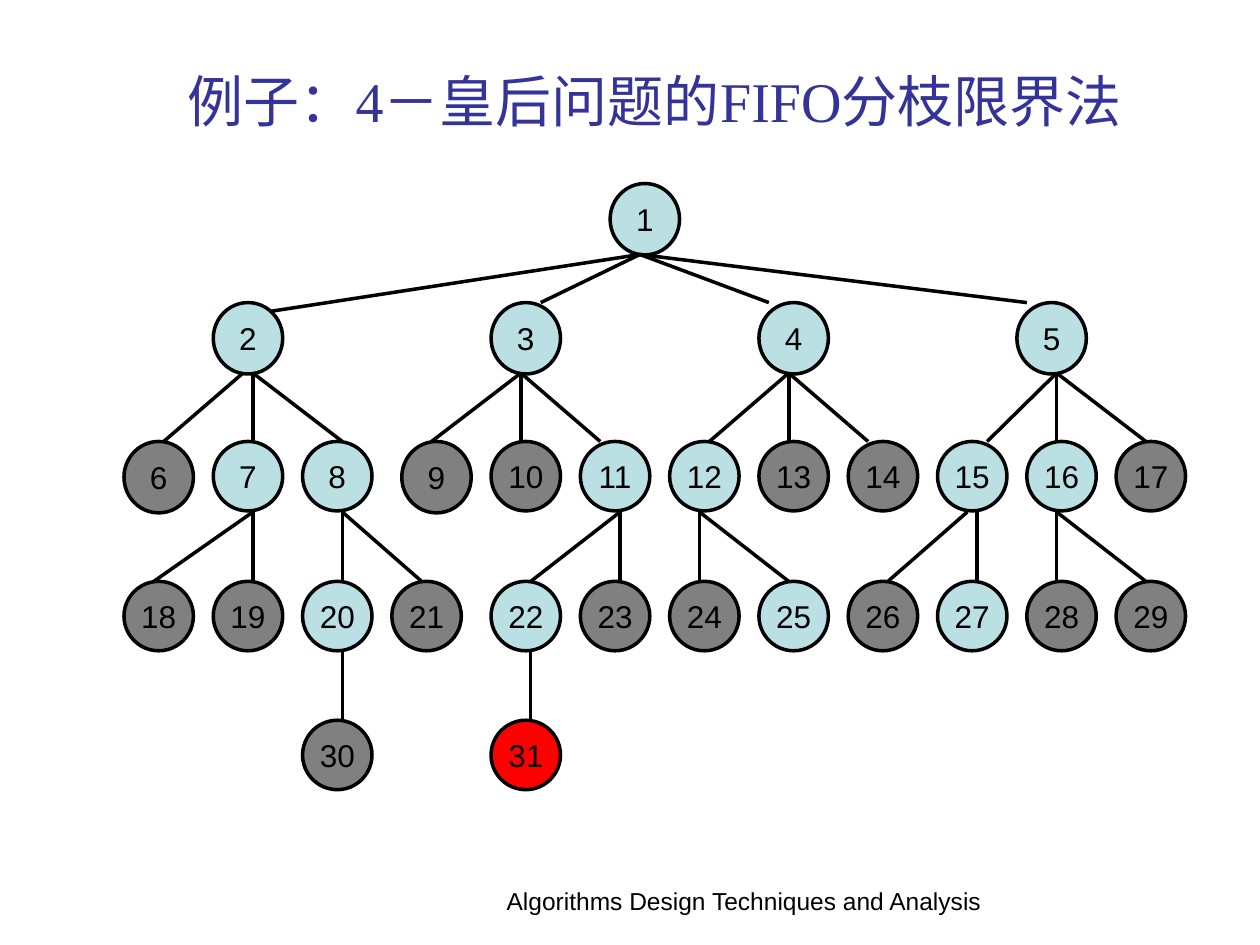
import dataclasses
import typing

import lxml.etree
import pptx
import pptx.dml.color
import pptx.enum.shapes
import pptx.enum.text
import pptx.oxml.ns
import pptx.util

Cm = pptx.util.Cm
Pt = pptx.util.Pt
RGBColor = pptx.dml.color.RGBColor
Align = pptx.enum.text.PP_ALIGN
Anchor = pptx.enum.text.MSO_ANCHOR


@dataclasses.dataclass(frozen=True)
class Theme:
    live: RGBColor = RGBColor(0xBB, 0xE0, 0xE3)
    dead: RGBColor = RGBColor(0x80, 0x80, 0x80)
    answer: RGBColor = RGBColor(0xFF, 0x00, 0x00)
    ink: RGBColor = RGBColor(0x00, 0x00, 0x00)
    title: RGBColor = RGBColor(0x33, 0x33, 0x99)
    title_font: str = "Times New Roman"
    body_font: str = "Arial"
    title_size: Pt = Pt(32)
    node_size: Pt = Pt(18)
    footer_size: Pt = Pt(14)
    line_width: Pt = Pt(2)


THEME = Theme()
DIAMETER = 1.4
TALL = 1.44
ROW_TOPS = (3.7, 6.1, 8.9, 11.72, 14.52)
EDGE_STARTS = (5.13, 7.52, 10.32, 13.12)


class Node(typing.NamedTuple):
    """A tree node; the edge from its parent runs between two x positions."""
    number: int
    left: float
    fill: RGBColor
    edge_from: typing.Optional[float] = None
    edge_to: typing.Optional[float] = None
    height: float = DIAMETER
    edge_drop: float = 0


def column(index: int) -> float:
    """Left of a column; columns from the fifth on sit closer to the left block."""
    return (2.5 if index < 4 else 0.9) + 1.8 * index


LIVE, DEAD, ANSWER = THEME.live, THEME.dead, THEME.answer
LEVELS = (
    (Node(1, 12.3, LIVE, height=TALL),),
    (
        Node(2, column(1), LIVE, 12.9, 5.3, TALL, edge_drop=0.2),
        Node(3, column(5), LIVE, 12.9, 10.9, TALL),
        Node(4, column(8), LIVE, 12.9, 15.5, TALL),
        Node(5, 20.5, LIVE, 12.9, 20.7, TALL),
    ),
    (
        Node(6, column(0), DEAD, 4.9, 3.3, TALL),
        Node(7, column(1), LIVE, 5.1, 5.1),
        Node(8, column(2), LIVE, 5.1, 6.9),
        Node(9, column(4), DEAD, 10.5, 8.7, TALL),
        Node(10, column(5), DEAD, 10.5, 10.5),
        Node(11, column(6), LIVE, 10.5, 12.1),
        Node(12, column(7), LIVE, 15.9, 14.3),
        Node(13, column(8), DEAD, 15.9, 15.9),
        Node(14, column(9), DEAD, 15.9, 17.5),
        Node(15, column(10), LIVE, 21.3, 19.9),
        Node(16, column(11), LIVE, 21.3, 21.3),
        Node(17, column(12), DEAD, 21.3, 23.1),
    ),
    (
        Node(18, column(0), DEAD, 5.1, 3.1),
        Node(19, column(1), DEAD, 5.1, 5.1),
        Node(20, column(2), LIVE, 6.9, 6.9),
        Node(21, column(3), DEAD, 6.9, 8.5),
        Node(22, column(5), LIVE, 12.5, 10.7),
        Node(23, column(6), DEAD, 12.5, 12.5),
        Node(24, column(7), DEAD, 14.1, 14.1),
        Node(25, column(8), LIVE, 14.1, 15.9),
        Node(26, column(9), DEAD, 19.5, 17.9),
        Node(27, column(10), LIVE, 19.7, 19.7),
        Node(28, column(11), DEAD, 21.3, 21.3),
        Node(29, column(12), DEAD, 21.3, 23.1),
    ),
    (
        Node(30, column(2), DEAD, 6.9, 6.9),
        Node(31, column(5), ANSWER, 10.7, 10.7),
    ),
)


def apply_format(target: typing.Any, values: dict[str, typing.Any]) -> None:
    for name, value in values.items():
        setattr(target, name, value)


def write_text(shape: typing.Any, text: str, align: Align, anchor: Anchor,
               font: dict[str, typing.Any], color: RGBColor) -> None:
    frame = shape.text_frame
    apply_format(frame, {"word_wrap": True, "vertical_anchor": anchor})
    paragraph = frame.paragraphs[0]
    paragraph.alignment = align
    run = paragraph.add_run()
    run.text = text
    apply_format(run.font, font)
    run.font.color.rgb = color


def style_line(line: typing.Any) -> None:
    line.color.rgb = THEME.ink
    line.width = THEME.line_width


def draw_edge(slide: typing.Any, node: Node, level: int) -> None:
    connector = slide.shapes.add_connector(
        pptx.enum.shapes.MSO_CONNECTOR.STRAIGHT,
        Cm(node.edge_from), Cm(EDGE_STARTS[level - 1]),
        Cm(node.edge_to), Cm(ROW_TOPS[level] + node.edge_drop))
    style_line(connector.line)
    lxml.etree.SubElement(connector._element.spPr, pptx.oxml.ns.qn("a:effectLst"))


def draw_node(slide: typing.Any, node: Node, level: int) -> None:
    shape = slide.shapes.add_shape(
        pptx.enum.shapes.MSO_SHAPE.OVAL, Cm(node.left), Cm(ROW_TOPS[level]),
        Cm(DIAMETER), Cm(node.height))
    shape.shadow.inherit = False
    shape.fill.solid()
    shape.fill.fore_color.rgb = node.fill
    style_line(shape.line)
    apply_format(shape.text_frame, dict.fromkeys(
        ("margin_left", "margin_top", "margin_right", "margin_bottom"), 0))
    write_text(shape, str(node.number), Align.CENTER, Anchor.MIDDLE,
               {"name": THEME.body_font, "size": THEME.node_size}, THEME.ink)


def main() -> None:
    presentation = pptx.Presentation()
    apply_format(presentation, {"slide_width": Cm(25.4), "slide_height": Cm(19.05)})
    slide = presentation.slides.add_slide(presentation.slide_layouts[6])

    footer = slide.shapes.add_textbox(Cm(9.7), Cm(17.73), Cm(10.6), Cm(1.2))
    write_text(footer, "Algorithms Design Techniques and Analysis",
               Align.CENTER, Anchor.TOP,
               {"name": THEME.body_font, "size": THEME.footer_size}, THEME.ink)
    title = slide.shapes.add_textbox(Cm(3.53), Cm(0.74), Cm(21.87), Cm(2.57))
    write_text(title, "例子：4－皇后问题的FIFO分枝限界法",
               Align.LEFT, Anchor.MIDDLE,
               {"name": THEME.title_font, "size": THEME.title_size}, THEME.title)

    for level, nodes in enumerate(LEVELS):
        for node in nodes:
            if node.edge_from is not None:
                draw_edge(slide, node, level)
            draw_node(slide, node, level)

    presentation.save("out.pptx")


if __name__ == "__main__":
    main()
